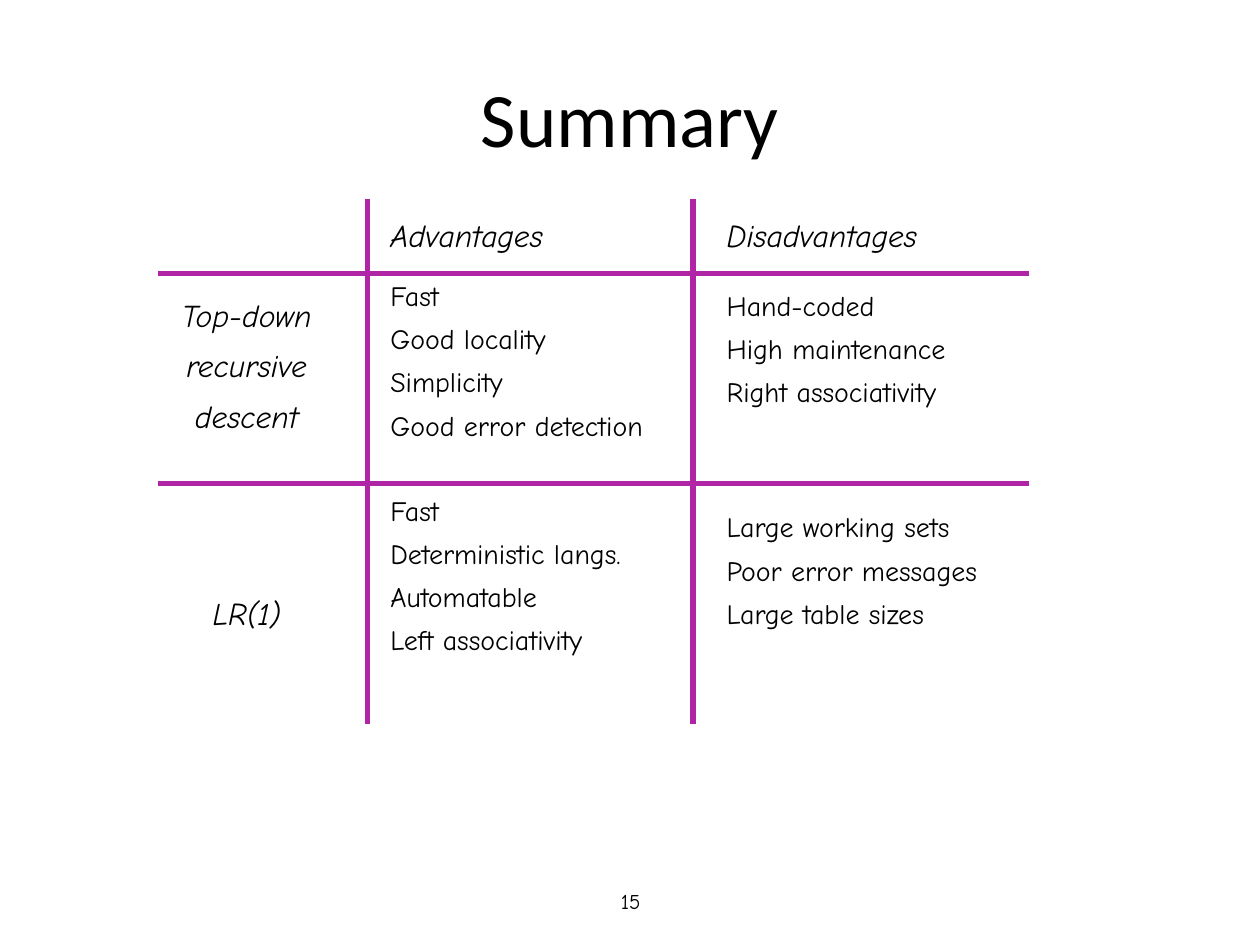
from lxml import etree
from pptx import Presentation
from pptx.dml.color import RGBColor
from pptx.enum.shapes import MSO_CONNECTOR
from pptx.enum.text import MSO_ANCHOR, PP_ALIGN
from pptx.oxml.ns import qn
from pptx.util import Cm, Pt

BLACK = RGBColor(0, 0, 0)
PURPLE = RGBColor(0xB0, 0x25, 0xA6)
LEFT, CENTER = PP_ALIGN.LEFT, PP_ALIGN.CENTER
TOP, MIDDLE = MSO_ANCHOR.TOP, MSO_ANCHOR.MIDDLE
STRAIGHT = MSO_CONNECTOR.STRAIGHT


class Page:
    font = "Comic Neue"
    head = 18
    body = 16
    step = 5.5

    def __init__(self, slide):
        self.slide = slide

    def frame(self, left, top, width, height, anchor=TOP):
        box = self.slide.shapes.add_textbox(Cm(left), Cm(top), Cm(width), Cm(height))
        frame = box.text_frame
        frame.word_wrap = True
        frame.vertical_anchor = anchor
        return frame

    def style(self, para, size, align=LEFT, gap=0, font=None, italic=False):
        para.alignment = align
        para.space_before = Pt(gap)
        for run in para.runs:
            run.font.name = font or self.font
            run.font.size = Pt(size)
            run.font.italic = italic
            run.font.color.rgb = BLACK

    def label(self, text, area, size, font=None):
        frame = self.frame(*area, MIDDLE)
        frame.text = text
        self.style(frame.paragraphs[0], size, CENTER, font=font)

    def row(self, text, top, height):
        frame = self.frame(2.97, top, 4.01, height)
        frame.text = text
        for num, para in enumerate(frame.paragraphs):
            self.style(para, self.head, CENTER, 7.25 if num else 0, italic=True)

    def column(self, left, title, groups):
        frame = self.frame(left, 4.24, 6.55, 9.27)
        frame.text = title
        self.style(frame.paragraphs[0], self.head, italic=True)
        for gap, items in groups:
            for num, item in enumerate(items):
                para = frame.add_paragraph()
                para.text = item
                self.style(para, self.body, gap=self.step if num else gap)

    def line(self, *ends):
        rule = self.slide.shapes.add_connector(STRAIGHT, *map(Cm, ends))
        rule.line.color.rgb = PURPLE
        rule.line.width = Pt(3)
        etree.SubElement(rule._element.spPr, qn("a:effectLst"))


def main():
    deck = Presentation()
    deck.slide_width, deck.slide_height = Cm(25.4), Cm(19.05)
    page = Page(deck.slides.add_slide(deck.slide_layouts[6]))

    page.label("15", (8.69, 17.65, 8.05, 1.02), 12)
    page.label("Summary", (1.27, 0.76, 22.86, 3.18), 44, "Calibri")

    page.column(7.62, "Advantages", [
        (13.8, ["Fast", "Good locality", "Simplicity", "Good error detection"]),
        (29.5, ["Fast", "Deterministic langs.", "Automatable", "Left associativity"]),
    ])
    page.column(14.4, "Disadvantages", [
        (19.3, ["Hand-coded", "High maintenance", "Right associativity"]),
        (58.2, ["Large working sets", "Poor error messages", "Large table sizes"]),
    ])
    page.row("Top-down\nrecursive\ndescent", 5.84, 3.07)
    page.row("LR(1)", 11.86, 1.02)

    for y in (5.51, 9.74):
        page.line(3.18, y, 20.74, y)
    for x in (7.41, 13.97):
        page.line(x, 4.02, x, 14.6)

    deck.save("out.pptx")


if __name__ == "__main__":
    main()
